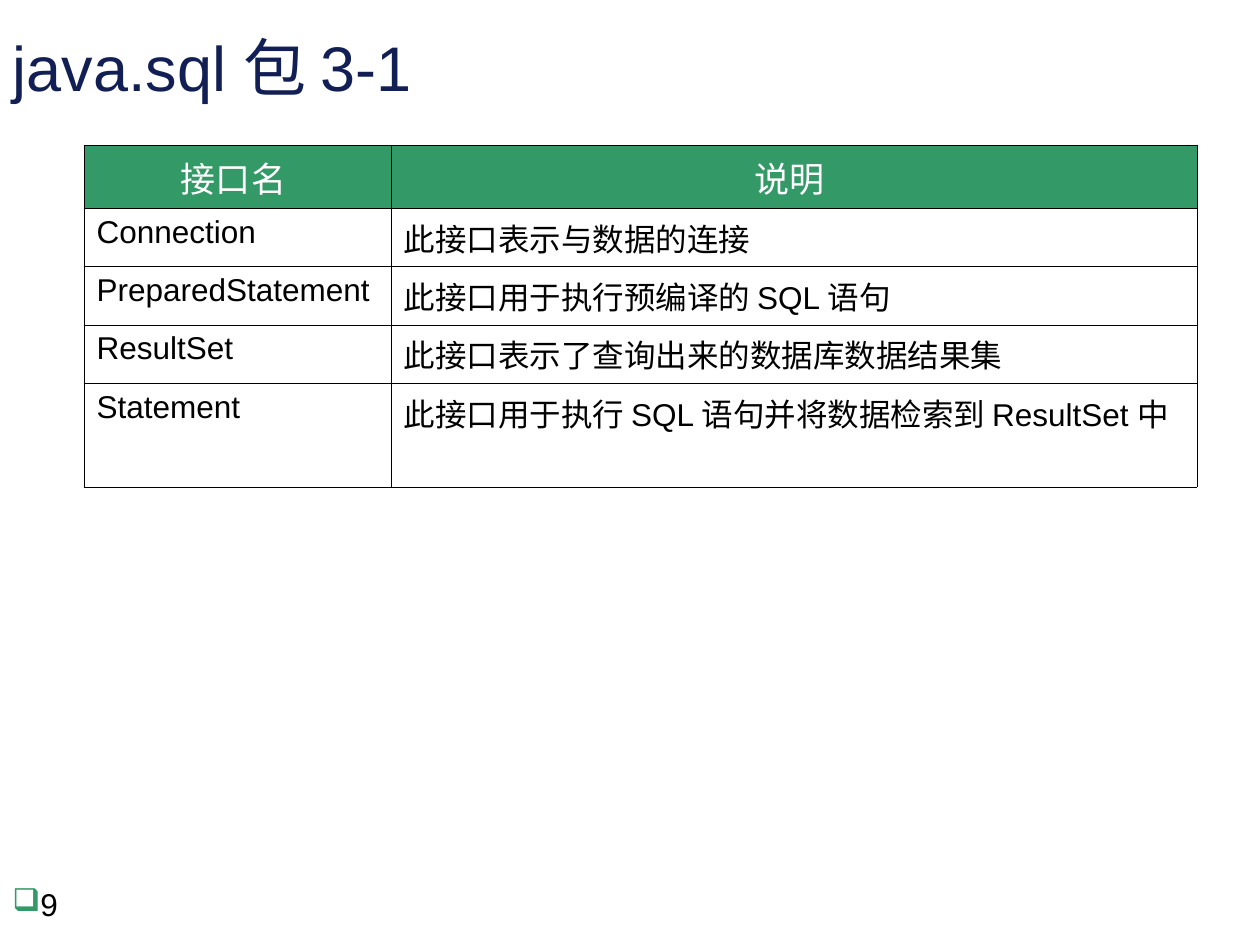
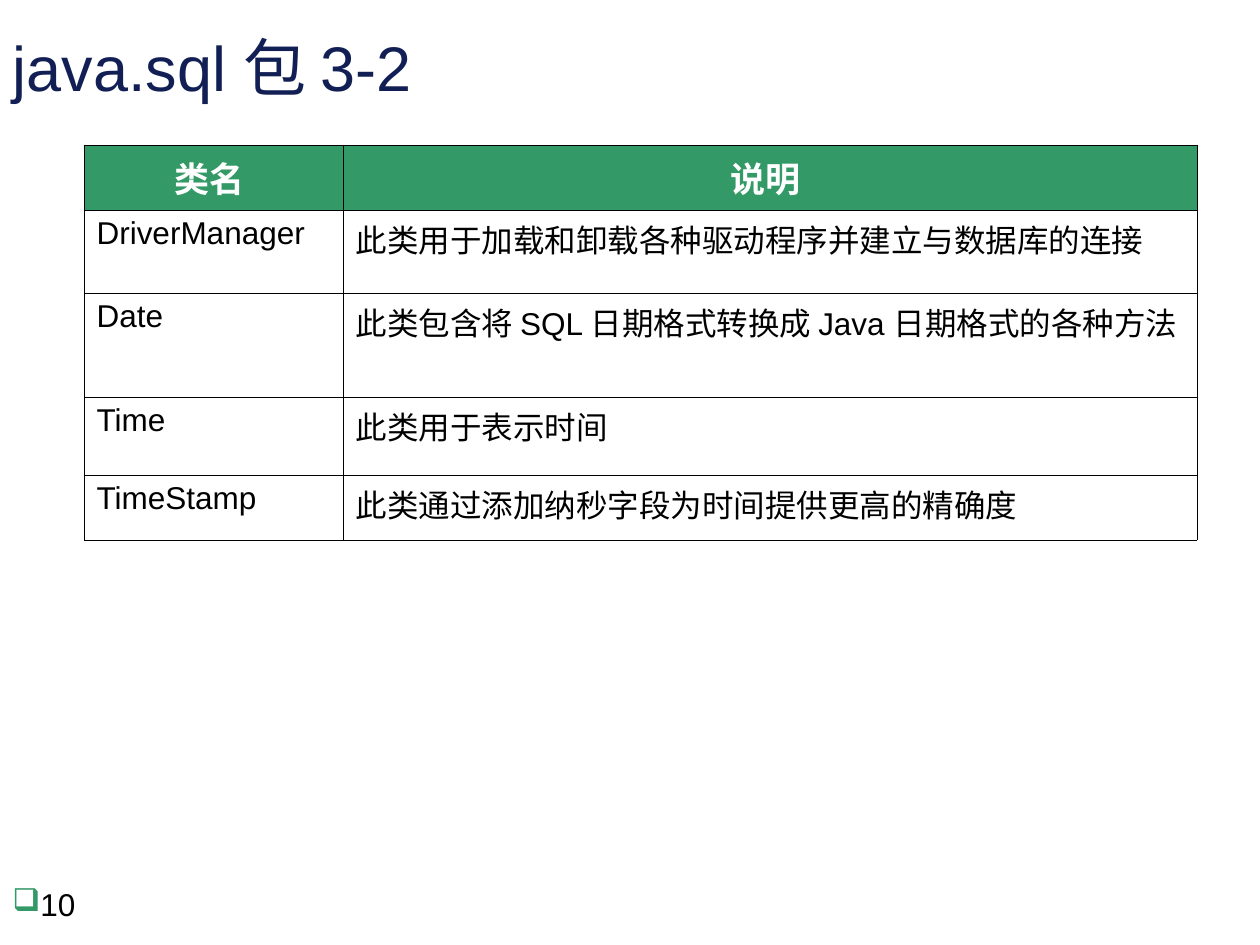
"""Builds two slides that list the interfaces and classes of java.sql."""
from lxml import etree
from pptx import Presentation
from pptx.dml.color import RGBColor
from pptx.enum import text
from pptx.oxml import ns
from pptx.util import Pt

PAGES = [
    {
        "title": "java.sql 包 3-1", "page": "9", "bold": False,
        "cols": [307, 806], "rows": [63, 58, 58, 58, 104],
        "cells": [
            ("接口名 ", "说明 "),
            ("Connection", "此接口表示与数据的连接"),
            ("PreparedStatement", "此接口用于执行预编译的 SQL 语句"),
            ("ResultSet", "此接口表示了查询出来的数据库数据结果集"),
            ("Statement", "此接口用于执行 SQL 语句并将数据检索到 ResultSet 中"),
        ],
    },
    {
        "title": "java.sql 包 3-2", "page": "10", "bold": True,
        "cols": [259, 854], "rows": [65, 83, 104, 78, 65],
        "cells": [
            ("类名 ", "说明 "),
            ("DriverManager", "此类用于加载和卸载各种驱动程序并建立与数据库的连接"),
            ("Date", "此类包含将 SQL 日期格式转换成 Java 日期格式的各种方法"),
            ("Time", "此类用于表示时间"),
            ("TimeStamp", "此类通过添加纳秒字段为时间提供更高的精确度"),
        ],
    },
]
HUES = {"title": "121F55", "head": "339966", "text": "000000", "back": "FFFFFF"}
FONT = "Arial"
SIZE = (1260, 945)
TITLE = (0, 16, 1260, 100)
TABLE = (84, 145)
FOOT = (0, 879, 294, 30)
HANG = 48


def px(n):
    return round(n * 914400 / 126)


def hue(name):
    return RGBColor.from_string(HUES[name])


def add(node, tag, **attrs):
    return etree.SubElement(node, ns.qn(tag), attrs)


def style(para, size, color, bold=False):
    font = para.font
    font.name, font.size, font.bold = FONT, Pt(size), bold
    font.color.rgb = hue(color)


def edge(cell):
    props = cell._tc.get_or_add_tcPr()
    for i, side in enumerate("LRTB"):
        line = etree.Element(ns.qn(f"a:ln{side}"), w=str(Pt(0.45)))
        add(add(line, "a:solidFill"), "a:srgbClr", val=HUES["text"])
        props.insert(i, line)


def add_title(slide, words):
    title = slide.shapes.title
    title.left, title.top, title.width, title.height = map(px, TITLE)
    frame = title.text_frame
    frame.text = words
    frame.auto_size = text.MSO_AUTO_SIZE.NONE
    frame.vertical_anchor = text.MSO_ANCHOR.MIDDLE
    para = frame.paragraphs[0]
    para.alignment = text.PP_ALIGN.LEFT
    style(para, 36, "title")


def add_grid(slide, page):
    cols, rows = page["cols"], page["rows"]
    box = map(px, (*TABLE, sum(cols), sum(rows)))
    grid = slide.shapes.add_table(len(rows), len(cols), *box).table
    for col, width in zip(grid.columns, cols):
        col.width = px(width)
    for r, (row, height) in enumerate(zip(grid.rows, rows)):
        row.height = px(height)
        head = r == 0
        for cell, words in zip(row.cells, page["cells"][r]):
            cell.text = words
            cell.fill.solid()
            cell.fill.fore_color.rgb = hue("head" if head else "back")
            edge(cell)
            para = cell.text_frame.paragraphs[0]
            props = para._p.get_or_add_pPr()
            props.set("marL", str(px(HANG)))
            props.set("indent", str(-px(HANG)))
            if head:
                para.alignment = text.PP_ALIGN.CENTER
                style(para, 20, "back", page["bold"])
            else:
                style(para, 18, "text")


def add_foot(slide, number):
    frame = slide.shapes.add_textbox(*map(px, FOOT)).text_frame
    frame.word_wrap = True
    para = frame.paragraphs[0]
    para.text = number
    props = para._p.get_or_add_pPr()
    add(add(props, "a:buClr"), "a:srgbClr", val=HUES["head"])
    add(props, "a:buChar", char="❑")
    style(para, 18, "text")


def main():
    deck = Presentation()
    deck.slide_width, deck.slide_height = map(px, SIZE)
    for page in PAGES:
        slide = deck.slides.add_slide(deck.slide_layouts[5])
        add_title(slide, page["title"])
        add_grid(slide, page)
        add_foot(slide, page["page"])
    deck.save("out.pptx")


if __name__ == "__main__":
    main()
